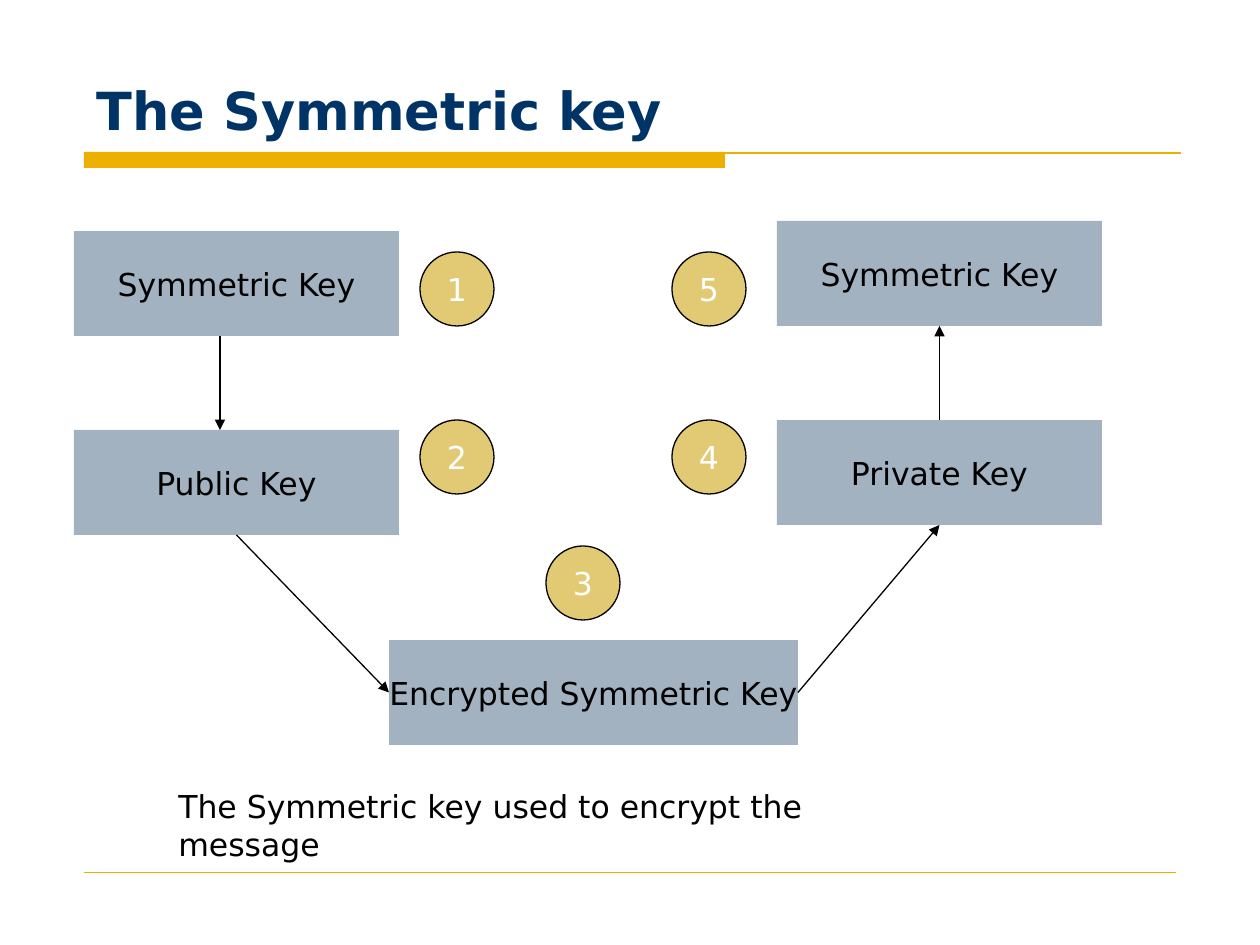
from lxml.etree import SubElement
from pptx import Presentation
from pptx.dml.color import RGBColor
from pptx.enum.shapes import MSO_CONNECTOR, MSO_SHAPE
from pptx.enum.text import MSO_ANCHOR, PP_ALIGN
from pptx.oxml.ns import qn
from pptx.util import Pt

TITLE = "The Symmetric key"
CAPTION = "The Symmetric key used to encrypt the message"
COLORS = {"navy": "003366", "gold": "EEB000", "box": "A3B2C1",
          "step": "E2CA74", "black": "000000", "white": "FFFFFF"}
FONT = "DejaVu Sans"

# name: (text, left, top, width)
BOXES = {
    "start": ("Symmetric Key", 74, 231, 325),
    "public": ("Public Key", 74, 430, 325),
    "sealed": ("Encrypted Symmetric Key", 389, 640, 409),
    "private": ("Private Key", 777, 420, 325),
    "end": ("Symmetric Key", 777, 221, 325),
}
BOX_H = 105
STEPS = [(420, 252), (420, 420), (546, 546), (672, 420), (672, 252)]
STEP_D = 74
TOP, LEFT, BOTTOM, RIGHT = range(4)
LINKS = [("public", BOTTOM, "sealed", LEFT),
         ("sealed", RIGHT, "private", BOTTOM),
         ("private", TOP, "end", BOTTOM)]


def px(n):
    return round(n * 914400 / 126)


def rgb(name):
    return RGBColor.from_string(COLORS[name])


def style(para, size, color, bold=False):
    font = para.font
    font.name, font.size, font.bold = FONT, Pt(size), bold
    font.color.rgb = rgb(color)


def add_block(kind, area, fill, text="", color="black", edge=None):
    shape = slide.shapes.add_shape(kind, *map(px, area))
    shape.shadow.inherit = False
    shape.fill.solid()
    shape.fill.fore_color.rgb = rgb(fill)
    if edge:
        shape.line.color.rgb = rgb(edge)
        shape.line.width = Pt(0.75)
    else:
        shape.line.fill.background()
    if text:
        frame = shape.text_frame
        frame.word_wrap = False
        frame.vertical_anchor = MSO_ANCHOR.MIDDLE
        para = frame.paragraphs[0]
        para.text, para.alignment = text, PP_ALIGN.CENTER
        style(para, 18, color)
    return shape


def add_line(ends, color="black", width=0.75, arrow=False):
    line = slide.shapes.add_connector(MSO_CONNECTOR.STRAIGHT, *map(px, ends))
    line.line.color.rgb = rgb(color)
    line.line.width = Pt(width)
    if arrow:
        SubElement(line.line._get_or_add_ln(), qn("a:tailEnd"), type="triangle")
    SubElement(line._element.spPr, qn("a:effectLst"))
    return line


prs = Presentation()
prs.slide_width, prs.slide_height = px(1260), px(945)
slide = prs.slides.add_slide(prs.slide_layouts[5])

add_block(MSO_SHAPE.RECTANGLE, (84, 152, 641, 16), "gold")
add_line((84, 153, 1181, 153), "gold")
add_line((84, 872, 1176, 872), "gold", 0.25)

title = slide.shapes.title
title.left, title.top, title.width, title.height = map(px, (84, 21, 1103, 126))
title.text_frame.vertical_anchor = MSO_ANCHOR.BOTTOM
head = title.text_frame.paragraphs[0]
head.text, head.alignment = TITLE, PP_ALIGN.LEFT
style(head, 30, "navy", True)

boxes = {name: add_block(MSO_SHAPE.RECTANGLE, (x, y, w, BOX_H), "box", text)
         for name, (text, x, y, w) in BOXES.items()}
for num, (x, y) in enumerate(STEPS, 1):
    add_block(MSO_SHAPE.OVAL, (x, y, STEP_D, STEP_D), "step", str(num),
              "white", "black")

# The first arrow runs a little left of the boxes' middle, so it is not joined.
add_line((220, 231 + BOX_H, 220, 430), arrow=True)
for source, out, target, into in LINKS:
    link = add_line((0, 0, 0, 0), arrow=True)
    link.begin_connect(boxes[source], out)
    link.end_connect(boxes[target], into)

note = slide.shapes.add_textbox(*map(px, (166, 781, 741, 50))).text_frame
note.word_wrap = True
note.paragraphs[0].text = CAPTION
style(note.paragraphs[0], 18, "black")

prs.save("out.pptx")
